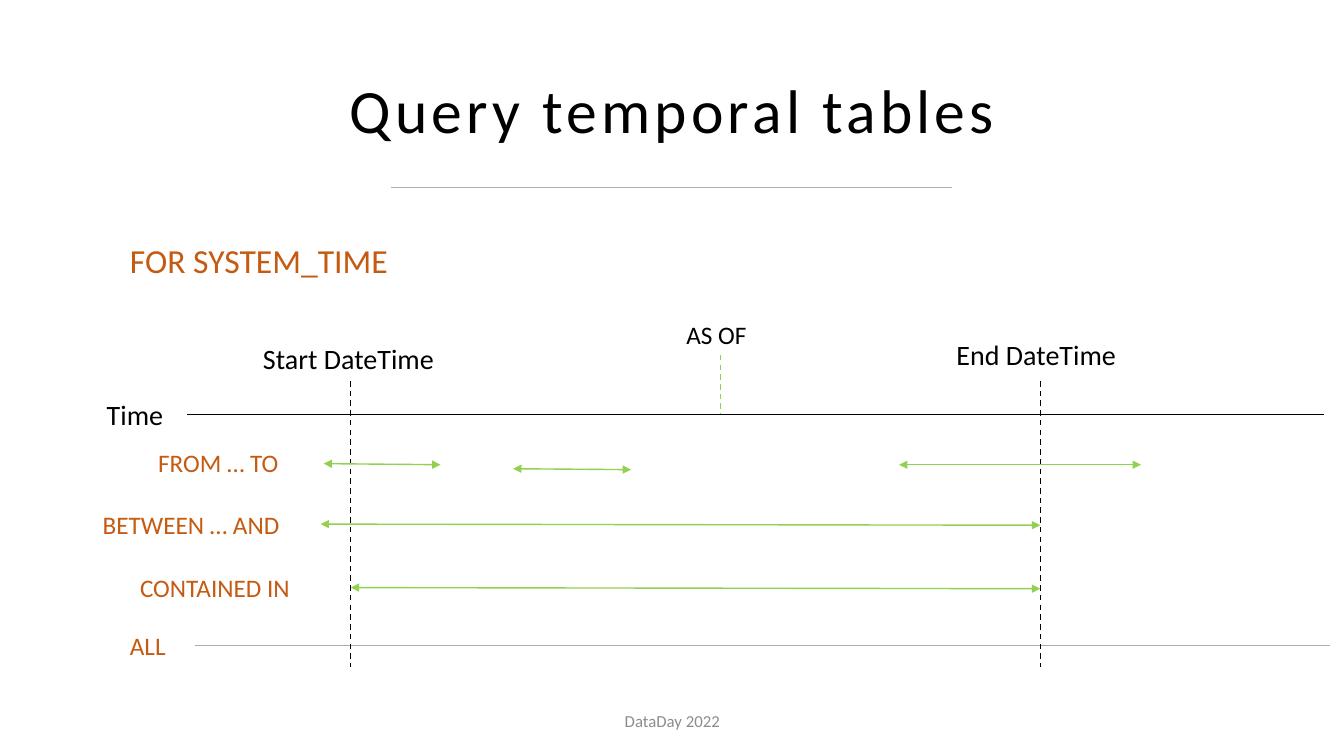
from dataclasses import dataclass

import pptx
import pptx.dml.color
import pptx.enum.dml
import pptx.enum.shapes
import pptx.enum.text
import pptx.oxml
import pptx.oxml.ns
import pptx.util

ALIGN = pptx.enum.text.PP_ALIGN
ANCHOR = pptx.enum.text.MSO_ANCHOR
FIT = pptx.enum.text.MSO_AUTO_SIZE
DASH = pptx.enum.dml.MSO_LINE


@dataclass(frozen=True)
class Theme:
    font: str = "Calibri"
    ink: str = "000000"
    clause: str = "C55A11"
    period: str = "92D050"
    rule: str = "A9AFA9"
    muted: str = "8C8C8C"
    title: int = 44
    heading: int = 24
    axis: int = 20
    label: int = 18
    footer: int = 12
    thin: float = 0.5
    line: float = 1


class TimelineSlide:
    """Draws on a slide with lengths given as percent of its width and height."""

    def __init__(self, presentation, theme):
        self.theme = theme
        self.column = presentation.slide_width / 100
        self.row = presentation.slide_height / 100
        self.slide = presentation.slides.add_slide(presentation.slide_layouts[6])

    def place(self, x, y):
        return round(x * self.column), round(y * self.row)

    def apply(self, target, values):
        for name, value in values.items():
            setattr(target, name, value)

    def text(self, words, box, size, color, frame=None, paragraph=None, spacing=0):
        left, top, width, height = box
        shape = self.slide.shapes.add_textbox(
            *self.place(left, top), *self.place(width, height))
        self.apply(shape.text_frame, {"word_wrap": True, **(frame or {})})
        line = shape.text_frame.paragraphs[0]
        self.apply(line, paragraph or {})
        run = line.add_run()
        run.text = words
        self.apply(run.font, {"name": self.theme.font, "size": pptx.util.Pt(size)})
        run.font.color.rgb = pptx.dml.color.RGBColor.from_string(color)
        if spacing:
            run.font._element.set("spc", str(spacing * 100))
        return shape

    def label(self, words, box, size, color):
        fit = {"word_wrap": False, "auto_size": FIT.SHAPE_TO_FIT_TEXT}
        return self.text(words, box, size, color, fit)

    def line(self, start, end, color, width=None, dash=None):
        connector = self.slide.shapes.add_connector(
            pptx.enum.shapes.MSO_CONNECTOR.STRAIGHT,
            *self.place(*start), *self.place(*end))
        connector.line.color.rgb = pptx.dml.color.RGBColor.from_string(color)
        self.apply(connector.line, {
            "width": pptx.util.Pt(width or self.theme.line), "dash_style": dash})
        properties = connector._element.spPr
        properties.append(pptx.oxml.parse_xml(
            f"<a:effectLst {pptx.oxml.ns.nsdecls('a')}/>"))
        return connector

    def period(self, start, end):
        connector = self.line(start, end, self.theme.period)
        outline = connector.line._get_or_add_ln()
        for end_name in ("headEnd", "tailEnd"):
            outline.append(pptx.oxml.parse_xml(
                f'<a:{end_name} {pptx.oxml.ns.nsdecls("a")} type="triangle"/>'))


def main():
    presentation = pptx.Presentation()
    presentation.slide_width = pptx.util.Inches(13.33)
    presentation.slide_height = pptx.util.Inches(7.5)
    theme = Theme()
    page = TimelineSlide(presentation, theme)
    middle = {"vertical_anchor": ANCHOR.MIDDLE}
    start_x, end_x, axis_y = 26.1, 77.4, 54.8

    page.text("Query temporal tables", (6.9, 5.33, 86.25, 19.33), theme.title,
              theme.ink, middle, {"alignment": ALIGN.CENTER, "line_spacing": 0.9},
              spacing=3)
    page.text("DataDay 2022", (33.15, 92.67, 33.75, 5.33), theme.footer,
              theme.muted, middle, {"alignment": ALIGN.CENTER})
    page.line((29.1, 24.8), (70.8, 24.8), theme.rule, theme.thin)
    page.text("FOR SYSTEM_TIME", (8.93, 31.73, 22.2, 6.67), theme.heading,
              theme.clause, paragraph={"line_spacing": 0.9,
                                       "space_before": pptx.util.Pt(10)})

    page.line((13.95, axis_y), (98.48, axis_y), theme.ink)
    page.line((14.48, 85.33), (98.93, 85.33), theme.rule, theme.thin)

    for words, left, top, width in (
            ("Time", 7.2, 51.87, 6.08),
            ("Start DateTime", 18.83, 44.53, 15.3),
            ("End DateTime", 70.43, 44, 14.48)):
        page.label(words, (left, top, width, 5.87), theme.axis, theme.ink)

    for words, left, top, width in (
            ("FROM … TO", 11.03, 58.53, 11.4),
            ("BETWEEN … AND", 6.9, 66.67, 16.13),
            ("CONTAINED IN", 9.68, 75.07, 14.25),
            ("ALL", 8.93, 82.67, 4.5)):
        page.label(words, (left, top, width, 5.33), theme.label, theme.clause)

    moment = page.label("AS OF", (50.33, 41.6, 6.6, 5.33), theme.label, theme.ink)
    marker = page.line((53.63, 46.93), (53.63, axis_y), theme.period, dash=DASH.DASH)
    marker.begin_connect(moment, 2)

    for boundary in (start_x, end_x):
        page.line((boundary, 50.4), (boundary, 88.27), theme.ink, dash=DASH.DASH)

    for start, end in (
            ((24.08, 61.33), (32.78, 61.47)),
            ((38.18, 62), (46.95, 62.13)),
            ((66.9, 61.47), (84.9, 61.47)),
            ((23.85, 69.33), (end_x, 69.47)),
            ((start_x, 77.73), (end_x, 77.87))):
        page.period(start, end)

    presentation.save("out.pptx")


if __name__ == "__main__":
    main()
